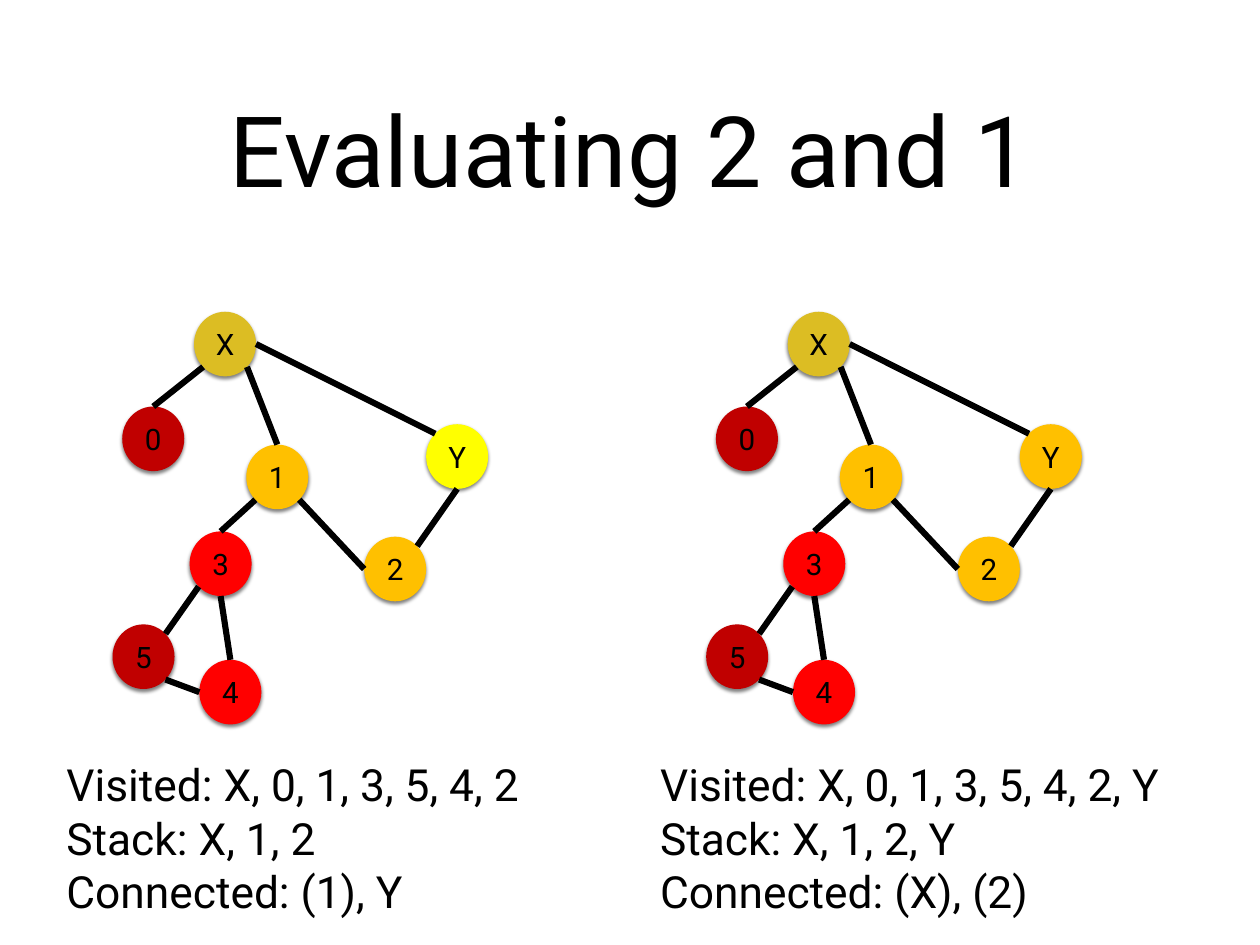
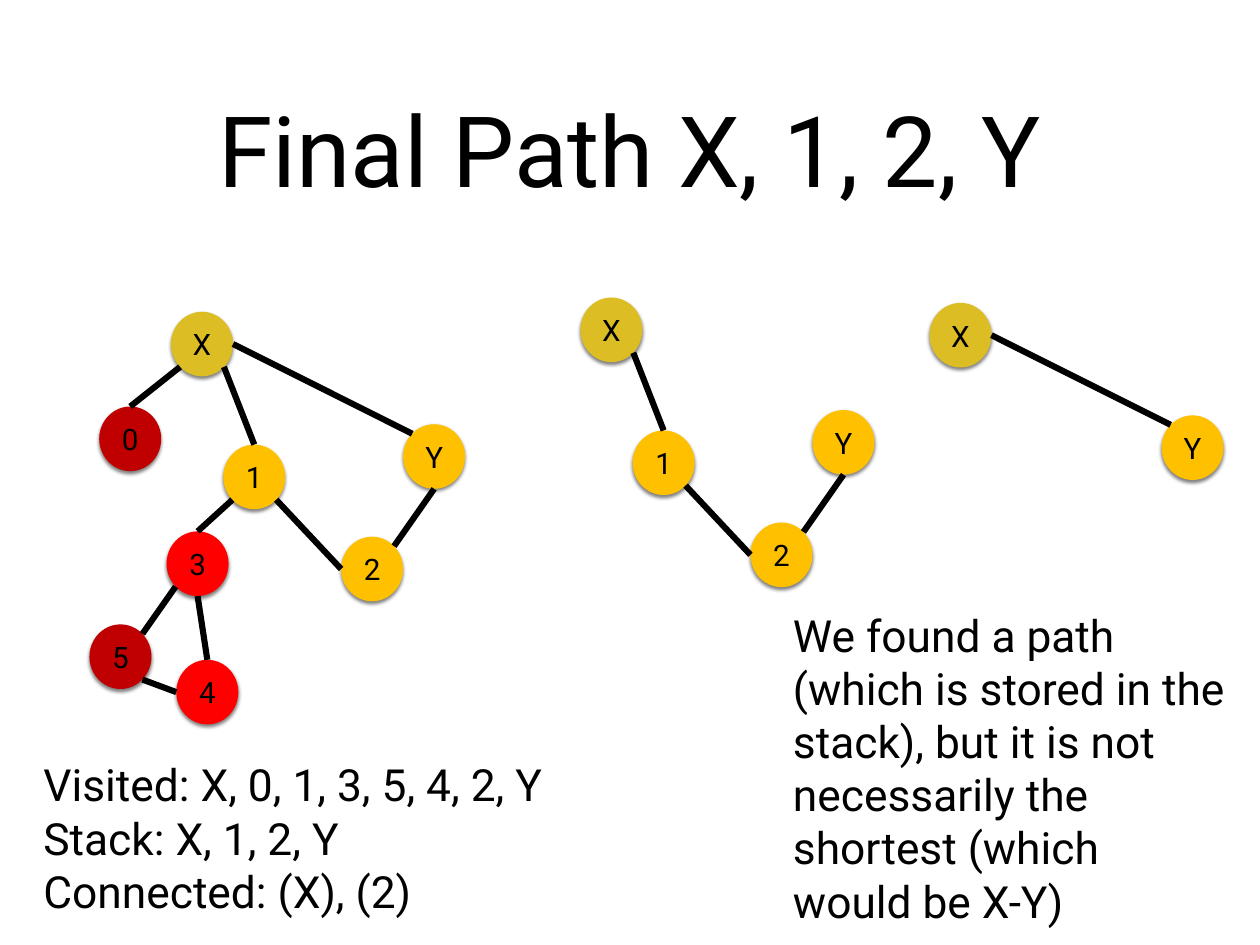
import math

import lxml.etree
import pptx
import pptx.dml.color
import pptx.enum.shapes
import pptx.enum.text
import pptx.oxml
import pptx.oxml.ns
import pptx.util

Inches = pptx.util.Inches
Pt = pptx.util.Pt
qn = pptx.oxml.ns.qn
PP_ALIGN = pptx.enum.text.PP_ALIGN

FONT = "Roboto"
COLORS = {
    "text": "000000",
    "start": "DCBD23",
    "stack": "FFC000",
    "connected": "FFFF00",
    "popped": "FF0000",
    "dead_end": "C00000",
}
INSET = 0.06
NODE_W, NODE_H = 0.7, 0.73
NOTES_TOP = 4.97  # below the top of the full graph

# Node offsets from the corner of the graph, and the usual state of each node
NODES = {
    "X": (1.5, 0, "start"),
    "0": (0.69, 1.07, "dead_end"),
    "1": (2.09, 1.5, "stack"),
    "2": (3.42, 2.54, "stack"),
    "3": (1.45, 2.48, "popped"),
    "4": (1.56, 3.93, "popped"),
    "5": (0.58, 3.53, "dead_end"),
    "Y": (4.12, 1.27, "stack"),
}

# Ellipse connection sites, counter-clockwise from the top
TOP, TOP_LEFT, LEFT, BOTTOM_LEFT, BOTTOM, BOTTOM_RIGHT, RIGHT, TOP_RIGHT = range(8)
EDGES = {
    "34": (BOTTOM, TOP),
    "13": (BOTTOM_LEFT, TOP),
    "2Y": (TOP_RIGHT, BOTTOM),
    "12": (BOTTOM_RIGHT, LEFT),
    "X1": (BOTTOM_RIGHT, TOP),
    "XY": (RIGHT, TOP_LEFT),
    "35": (BOTTOM_LEFT, TOP_RIGHT),
    "0X": (TOP, BOTTOM_LEFT),
    "54": (BOTTOM_RIGHT, LEFT),
}


def rgb(name):
    return pptx.dml.color.RGBColor.from_string(COLORS[name])


def write(sp, lines, size, align=PP_ALIGN.LEFT, grow=True):
    tf = sp.text_frame
    tf.word_wrap = True
    tf.margin_left = tf.margin_right = tf.margin_top = tf.margin_bottom = Inches(INSET)
    tf.vertical_anchor = pptx.enum.text.MSO_ANCHOR.MIDDLE
    if grow:
        tf.auto_size = pptx.enum.text.MSO_AUTO_SIZE.SHAPE_TO_FIT_TEXT
    for i, line in enumerate(lines):
        p = tf.add_paragraph() if i else tf.paragraphs[0]
        p.text = line
        p.alignment = align
        p.font.name = FONT
        p.font.size = Pt(size)
        p.font.color.rgb = rgb("text")


def add_text(slide, box, lines, size=36, **style):
    sp = slide.shapes.add_textbox(*map(Inches, box))
    write(sp, lines, size, **style)


def add_shadow(sp):
    sp.shadow.inherit = False
    effects = sp._element.spPr.find(qn("a:effectLst"))
    shadow = lxml.etree.SubElement(
        effects, qn("a:outerShdw"), blurRad=str(Pt(3)), dist=str(Pt(2)),
        dir="5400000", rotWithShape="0")
    color = lxml.etree.SubElement(shadow, qn("a:srgbClr"), val=COLORS["text"])
    lxml.etree.SubElement(color, qn("a:alpha"), val="50000")


def add_node(slide, left, top, label, state):
    sp = slide.shapes.add_shape(
        pptx.enum.shapes.MSO_SHAPE.OVAL,
        Inches(left), Inches(top), Inches(NODE_W), Inches(NODE_H))
    sp.fill.solid()
    sp.fill.fore_color.rgb = rgb(state)
    sp.line.fill.background()
    add_shadow(sp)
    write(sp, [label], 24, PP_ALIGN.CENTER)
    return sp


def site_point(sp, site):
    angle = math.radians(90 + 45 * site)
    return (int(sp.left + sp.width / 2 * (1 + math.cos(angle))),
            int(sp.top + sp.height / 2 * (1 - math.sin(angle))))


def add_edge(slide, start, end, sites):
    line = slide.shapes.add_connector(
        pptx.enum.shapes.MSO_CONNECTOR.STRAIGHT,
        *site_point(start, sites[0]), *site_point(end, sites[1]))
    line.line.width = Pt(5)
    line.line.color.rgb = rgb("text")
    lxml.etree.SubElement(line._element.spPr, qn("a:effectLst"))
    # Glue both ends to their nodes
    links = line._element.find(".//" + qn("p:cNvCxnSpPr"))
    for tag, sp, site in zip(("a:stCxn", "a:endCxn"), (start, end), sites):
        lxml.etree.SubElement(links, qn(tag), id=str(sp.shape_id), idx=str(site))


def add_graph(slide, left, top, edges=tuple(EDGES), states=None):
    """Draw the given edges and the nodes they join."""
    states = states or {}
    shapes = {}
    for label, (dx, dy, state) in NODES.items():
        if any(label in edge for edge in edges):
            shapes[label] = add_node(
                slide, left + dx, top + dy, label, states.get(label, state))
    for edge in edges:
        add_edge(slide, shapes[edge[0]], shapes[edge[1]], EDGES[edge])


def add_step(slide, left, width, visited, stack, connected, states=None, top=3.52):
    """A full graph with the state of the search below it."""
    add_graph(slide, left, top, states=states)
    add_text(slide, (left, top + NOTES_TOP, width, 1.93),
             [f"Visited: {visited}", f"Stack: {stack}", f"Connected: {connected}"])


def add_last_step(slide, left):
    add_step(slide, left, 6.32, "X, 0, 1, 3, 5, 4, 2, Y", "X, 1, 2, Y", "(X), (2)")


def new_slide(prs, title):
    slide = prs.slides.add_slide(prs.slide_layouts[6])
    add_text(slide, (1.04, 0.49, 12.14, 2.36), [title], 80,
             align=PP_ALIGN.CENTER, grow=False)
    return slide


def evaluating_slide(prs):
    slide = new_slide(prs, "Evaluating 2 and 1")
    add_step(slide, 0.69, 5.67, "X, 0, 1, 3, 5, 4, 2", "X, 1, 2", "(1), Y",
             {"Y": "connected"})
    add_last_step(slide, 7.39)


def final_path_slide(prs):
    slide = new_slide(prs, "Final Path X, 1, 2, Y")
    add_last_step(slide, 0.43)
    # Path found, then the shortest path
    add_graph(slide, 5.05, 3.36, ("X1", "12", "2Y"))
    add_graph(slide, 8.99, 3.42, ("XY",))
    add_text(slide, (8.89, 6.79, 5, 3.75), [
        "We found a path (which is stored in the stack), but it is not "
        "necessarily the shortest (which would be X-Y)"])


def main():
    prs = pptx.Presentation()
    prs.slide_width, prs.slide_height = Inches(14.22), Inches(10.67)
    evaluating_slide(prs)
    final_path_slide(prs)
    prs.save("out.pptx")


if __name__ == "__main__":
    main()
